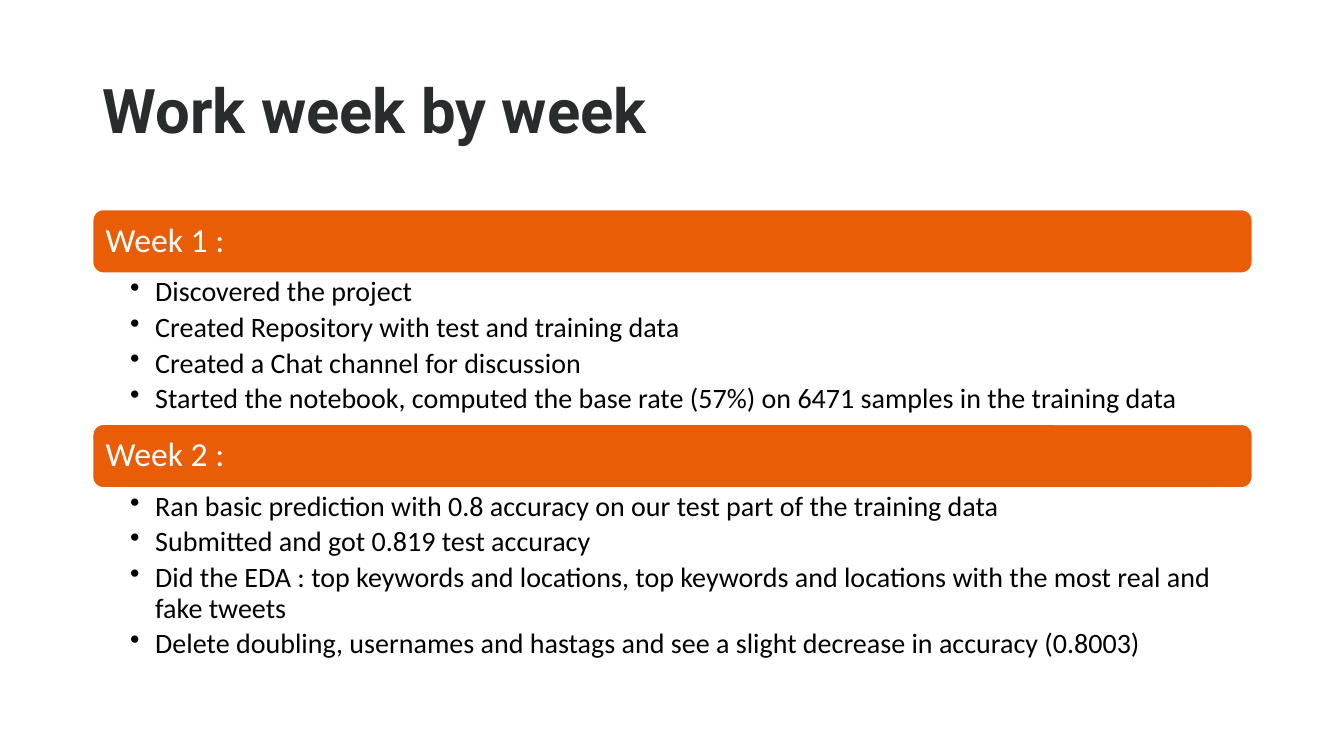
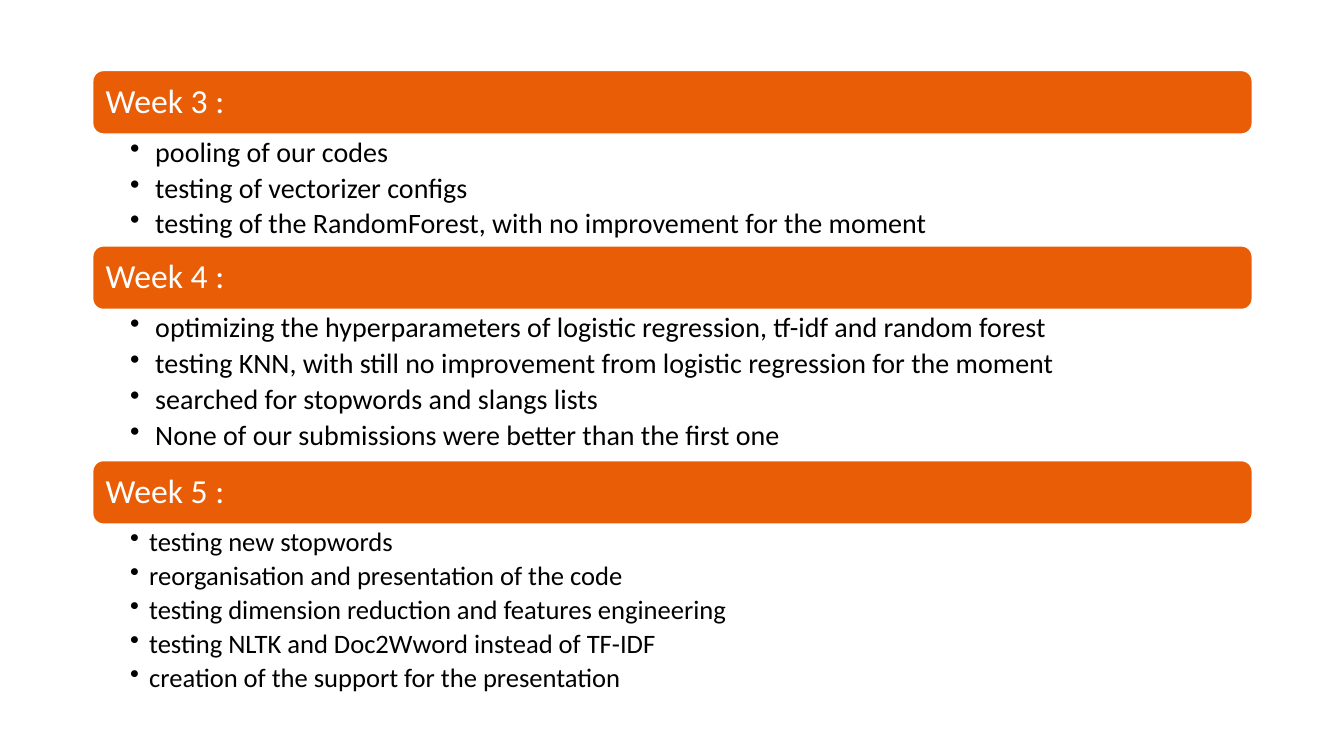
import lxml.etree
import pptx
import pptx.dml.color
import pptx.enum.shapes
import pptx.enum.text
import pptx.oxml.ns
import pptx.util

Inches = pptx.util.Inches
Pt = pptx.util.Pt
RGBColor = pptx.dml.color.RGBColor

ORANGE = RGBColor(0xE9, 0x5D, 0x07)
CHARCOAL = RGBColor(0x29, 0x2C, 0x2D)
BLACK = RGBColor(0x00, 0x00, 0x00)
WHITE = RGBColor(0xFF, 0xFF, 0xFF)


class WeekDeck:
    """Holds the shared style and the slide being filled."""

    LEFT, WIDTH = 0.92, 11.5
    BAND_HEIGHT = 0.63
    TITLE_FONT, BODY_FONT = "Roboto", "Calibri"

    def __init__(self):
        self.presentation = pptx.Presentation()
        self.presentation.slide_width = Inches(13.33)
        self.presentation.slide_height = Inches(7.5)
        self.slide = None

    def add_slide(self):
        self.slide = self.presentation.slides.add_slide(self.presentation.slide_layouts[6])

    def box(self, top, height):
        return Inches(self.LEFT), Inches(top), Inches(self.WIDTH), Inches(height)

    def style(self, paragraph, font_name, size, color, bold=False):
        paragraph.line_spacing = 0.9
        paragraph.alignment = pptx.enum.text.PP_ALIGN.LEFT
        font = paragraph.font
        font.name, font.size, font.bold = font_name, Pt(size), bold
        font.color.rgb = color

    def title(self, text):
        frame = self.slide.shapes.add_textbox(*self.box(0.4, 1.45)).text_frame
        frame.word_wrap = True
        frame.vertical_anchor = pptx.enum.text.MSO_ANCHOR.MIDDLE
        frame.text = text
        self.style(frame.paragraphs[0], self.TITLE_FONT, 44, CHARCOAL, bold=True)

    def band(self, text, top):
        shape = self.slide.shapes.add_shape(
            pptx.enum.shapes.MSO_SHAPE.ROUNDED_RECTANGLE, *self.box(top, self.BAND_HEIGHT))
        shape.shadow.inherit = False
        shape.fill.solid()
        shape.fill.fore_color.rgb = ORANGE
        shape.line.color.rgb = WHITE
        shape.line.width = Pt(1)
        frame = shape.text_frame
        frame.margin_left = Inches(0.1)
        frame.vertical_anchor = pptx.enum.text.MSO_ANCHOR.MIDDLE
        frame.text = text
        self.style(frame.paragraphs[0], self.BODY_FONT, 24, WHITE)

    def bullets(self, items, top, height, size, indent):
        frame = self.slide.shapes.add_textbox(*self.box(top, height)).text_frame
        frame.word_wrap = True
        frame.margin_left, frame.margin_right = Inches(0.37), Inches(0.2)
        frame.margin_top = frame.margin_bottom = Inches(0.04)
        frame.text = "\n".join(items)
        for paragraph in frame.paragraphs:
            properties = paragraph._p.get_or_add_pPr()
            properties.set("marL", str(Inches(indent)))
            properties.set("indent", str(-Inches(indent)))
            bullet = lxml.etree.SubElement(properties, pptx.oxml.ns.qn("a:buChar"))
            bullet.set("char", "•")
            paragraph.space_after = Pt(0.2 * size)
            self.style(paragraph, self.BODY_FONT, size, BLACK)

    def weeks(self, top, sections):
        """Stack each week's band and list below the one before."""
        for heading, height, size, indent, items in sections:
            self.band(heading, top)
            top += self.BAND_HEIGHT
            self.bullets(items, top, height, size, indent)
            top += height


# Each week: heading, list height, text size, bullet indent, list items
FIRST_WEEKS = [
    ("Week 1 :", 1.5, 20, 0.25, [
        "Discovered the project",
        "Created Repository with test and training data",
        "Created a Chat channel for discussion",
        "Started the notebook, computed the base rate (57%) on 6471 samples in the training data",
    ]),
    ("Week 2 :", 1.82, 20, 0.25, [
        "Ran basic prediction with 0.8 accuracy on our test part of the training data",
        "Submitted and got 0.819 test accuracy",
        "Did the EDA : top keywords and locations, top keywords and locations "
        "with the most real and fake tweets",
        "Delete doubling, usernames and hastags and see a slight decrease in accuracy (0.8003)",
    ]),
]
LAST_WEEKS = [
    ("Week 3 :", 1.11, 20, 0.25, [
        "pooling of our codes",
        "testing of vectorizer configs",
        "testing of the RandomForest, with no improvement for the moment",
    ]),
    ("Week 4 :", 1.5, 20, 0.25, [
        "optimizing the hyperparameters of logistic regression, tf-idf and random forest",
        "testing KNN, with still no improvement from logistic regression for the moment",
        "searched for stopwords and slangs lists",
        "None of our submissions were better than the first one",
    ]),
    ("Week 5 :", 1.79, 19, 0.19, [
        "testing new stopwords",
        "reorganisation and presentation of the code",
        "testing dimension reduction and features engineering",
        "testing NLTK and Doc2Wword instead of TF-IDF",
        "creation of the support for the presentation",
    ]),
]


def main():
    deck = WeekDeck()

    # Weeks 1 and 2, under the title
    deck.add_slide()
    deck.title("Work week by week")
    deck.weeks(2.08, FIRST_WEEKS)

    # Weeks 3 to 5
    deck.add_slide()
    deck.weeks(0.7, LAST_WEEKS)

    deck.presentation.save("out.pptx")


if __name__ == "__main__":
    main()
